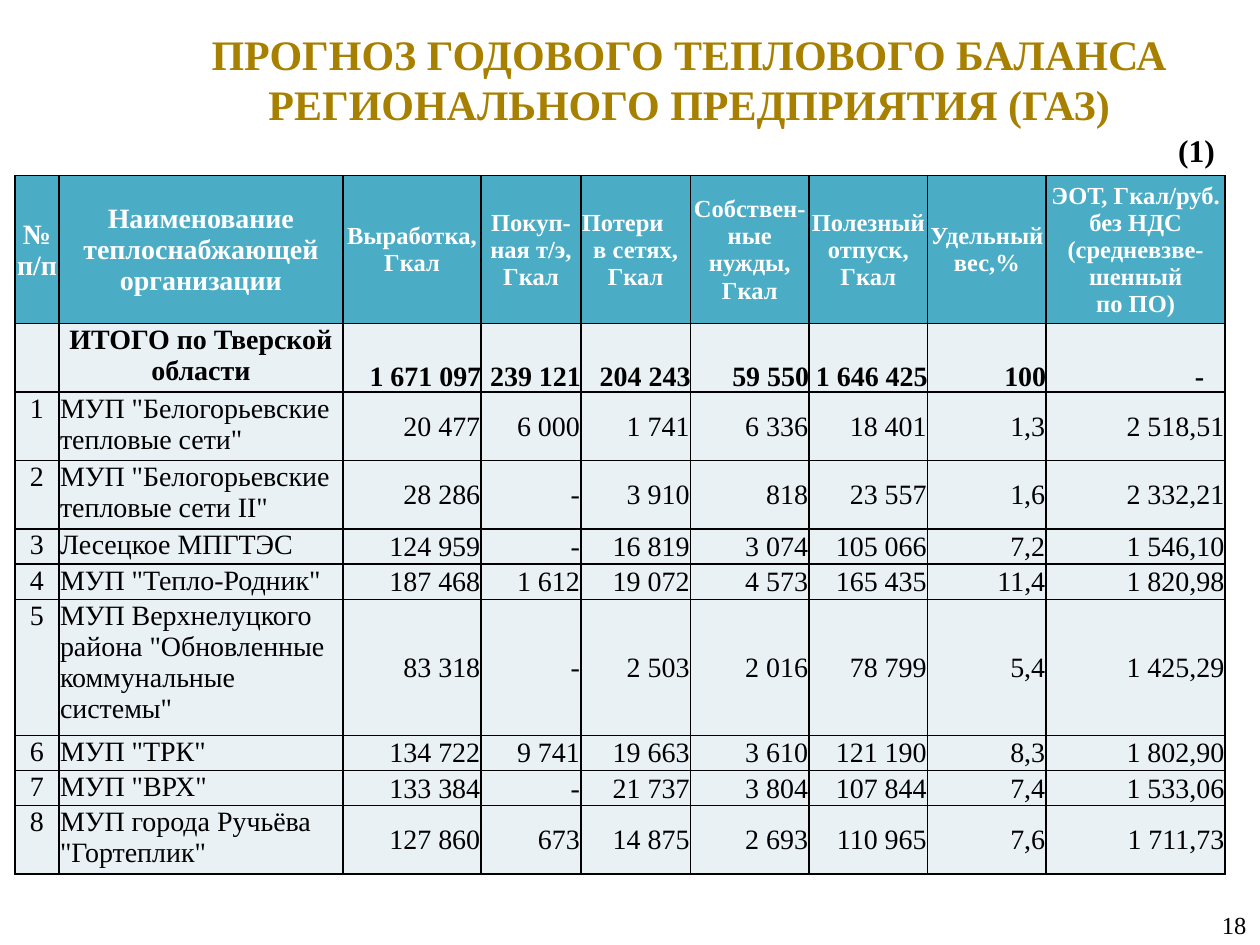
from lxml import etree
from pptx import Presentation
from pptx import util as u
from pptx.dml.color import RGBColor
from pptx.enum import text
from pptx.oxml.ns import qn

# Content
TITLE = "ПРОГНОЗ ГОДОВОГО ТЕПЛОВОГО БАЛАНСА РЕГИОНАЛЬНОГО ПРЕДПРИЯТИЯ (ГАЗ)"
PART = "(1)"
PAGE = "18"
HEAD = [
    "№ п/п", "Наименование теплоснабжающей организации", "Выработка, Гкал",
    "Покуп-ная т/э, Гкал", "Потери\nв сетях, Гкал", "Собствен-ные нужды, Гкал",
    "Полезный отпуск, Гкал", "Удельный вес,%",
    "ЭОТ, Гкал/руб. без НДС (средневзве-шенный\vпо ПО)",
]
TOTAL = ["", "ИТОГО по Тверской области", "1 671 097", "239 121", "204 243",
         "59 550", "1 646 425", "100", "-"]
FIRMS = [
    ('МУП "Белогорьевские тепловые сети"',
     "20 477", "6 000", "1 741", "6 336", "18 401", "1,3", "2 518,51"),
    ('МУП "Белогорьевские тепловые сети II"',
     "28 286", "-", "3 910", "818", "23 557", "1,6", "2 332,21"),
    ("Лесецкое МПГТЭС",
     "124 959", "-", "16 819", "3 074", "105 066", "7,2", "1 546,10"),
    ('МУП "Тепло-Родник"',
     "187 468", "1 612", "19 072", "4 573", "165 435", "11,4", "1 820,98"),
    ('МУП Верхнелуцкого района "Обновленные коммунальные системы"',
     "83 318", "-", "2 503", "2 016", "78 799", "5,4", "1 425,29"),
    ('МУП "ТРК"',
     "134 722", "9 741", "19 663", "3 610", "121 190", "8,3", "1 802,90"),
    ('МУП "ВРХ"',
     "133 384", "-", "21 737", "3 804", "107 844", "7,4", "1 533,06"),
    ('МУП города Ручьёва "Гортеплик"',
     "127 860", "673", "14 875", "2 693", "110 965", "7,6", "1 711,73"),
]
ROWS = [HEAD, TOTAL] + [[str(n), *firm] for n, firm in enumerate(FIRMS, 1)]

# Sizes in cm
WIDTHS = [0.89, 5.72, 2.79, 2.01, 2.21, 2.39, 2.39, 2.39, 3.61]
LINE, PAIR = 0.71, 1.38
HEIGHTS = [2.97, PAIR, PAIR, PAIR, LINE, LINE, 2.74, LINE, LINE, PAIR]

FONT = "Times New Roman"
COLORS = {"gold": "A88000", "black": "000000", "white": "FFFFFF",
          "head": "4BACC6", "body": "E9F1F5"}
ALIGN = {"l": text.PP_ALIGN.LEFT, "c": text.PP_ALIGN.CENTER,
         "r": text.PP_ALIGN.RIGHT, "j": text.PP_ALIGN.JUSTIFY}
ANCHOR = {"t": text.MSO_ANCHOR.TOP, "m": text.MSO_ANCHOR.MIDDLE,
          "b": text.MSO_ANCHOR.BOTTOM}


def write(frame, words, size=16, color="black", bold=False, align="l"):
    """Fill a frame; align holds one letter, or one letter per paragraph."""
    frame.text = words
    for n, para in enumerate(frame.paragraphs):
        para.alignment = ALIGN[align[min(n, len(align) - 1)]]
        for run in para.runs:
            font = run.font
            font.name, font.size, font.bold = FONT, u.Pt(size), bold
            font.color.rgb = RGBColor.from_string(COLORS[color])


def add_box(slide, words, place, anchor="t", **form):
    box = slide.shapes.add_textbox(*(u.Cm(x) for x in place))
    frame = box.text_frame
    frame.word_wrap = True
    frame.vertical_anchor = ANCHOR[anchor]
    write(frame, words, **form)


def edge(cell):
    props = cell._tc.get_or_add_tcPr()
    for n, side in enumerate(("a:lnL", "a:lnR", "a:lnT", "a:lnB")):
        line = etree.Element(qn(side), w=str(u.Pt(1)))
        fill = etree.SubElement(line, qn("a:solidFill"))
        etree.SubElement(fill, qn("a:srgbClr"), val=COLORS["black"])
        props.insert(n, line)


def style(row, col):
    """Return the anchor and the text format for one place in the table."""
    if row == 0:
        return "m", dict(size=16 if col < 2 else 14, color="white", bold=True,
                         align="lc" if col == 4 else "c")
    if col < 2:
        return "t", dict(bold=row == 1,
                         align="c" if row == 1 or col == 0 else "l")
    return ("b" if row == 1 else "m"), dict(bold=row == 1, align="r")


def add_grid(slide):
    grid = slide.shapes.add_table(
        len(ROWS), len(WIDTHS), u.Cm(0.3), u.Cm(3.54),
        u.Cm(sum(WIDTHS)), u.Cm(sum(HEIGHTS))).table
    for col, width in zip(grid.columns, WIDTHS):
        col.width = u.Cm(width)
    for row, height in zip(grid.rows, HEIGHTS):
        row.height = u.Cm(height)
    for r, row in enumerate(ROWS):
        for c, words in enumerate(row):
            cell = grid.cell(r, c)
            anchor, form = style(r, c)
            cell.vertical_anchor = ANCHOR[anchor]
            pad = u.Cm(0 if r == 1 and c > 1 else 0.02)
            cell.margin_left = cell.margin_right = cell.margin_top = pad
            cell.margin_bottom = 0
            cell.fill.solid()
            tint = COLORS["head" if r == 0 else "body"]
            cell.fill.fore_color.rgb = RGBColor.from_string(tint)
            edge(cell)
            write(cell.text_frame, words, **form)
    # The dash in the total row is indented from the left
    para = grid.cell(1, len(WIDTHS) - 1).text_frame.paragraphs[0]
    para.alignment = ALIGN["l"]
    para._p.get_or_add_pPr().set("marL", str(u.Cm(3)))


def main():
    deck = Presentation()
    deck.slide_width, deck.slide_height = u.Cm(25.4), u.Cm(19.05)
    slide = deck.slides.add_slide(deck.slide_layouts[6])
    add_box(slide, PAGE, (24.38, 18.21, 5.92, 0.86), anchor="m", size=14)
    add_grid(slide)
    add_box(slide, TITLE, (3.1, -0.08, 21.59, 3.33), anchor="m",
            size=24, color="gold", bold=True, align="c")
    add_box(slide, PART, (23.5, 2.51, 1.4, 1.02), size=18, bold=True, align="j")
    deck.save("out.pptx")


if __name__ == "__main__":
    main()
